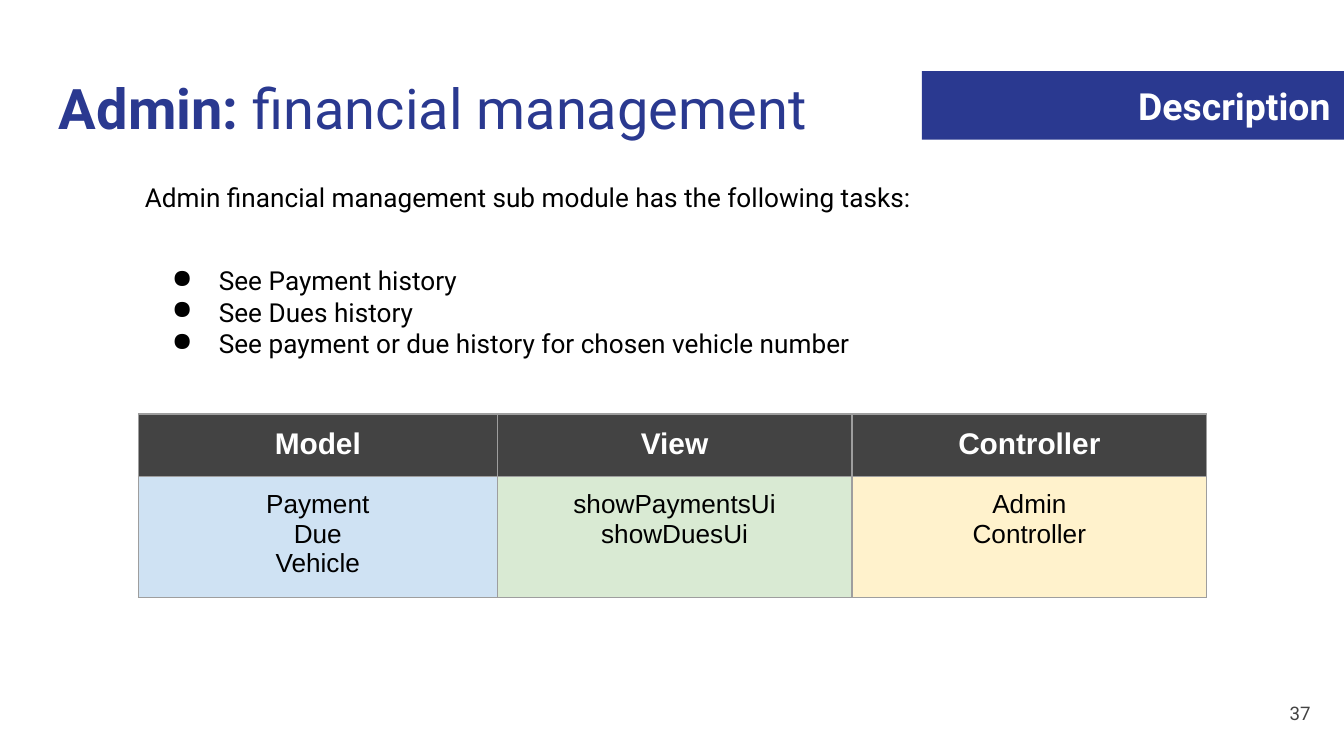
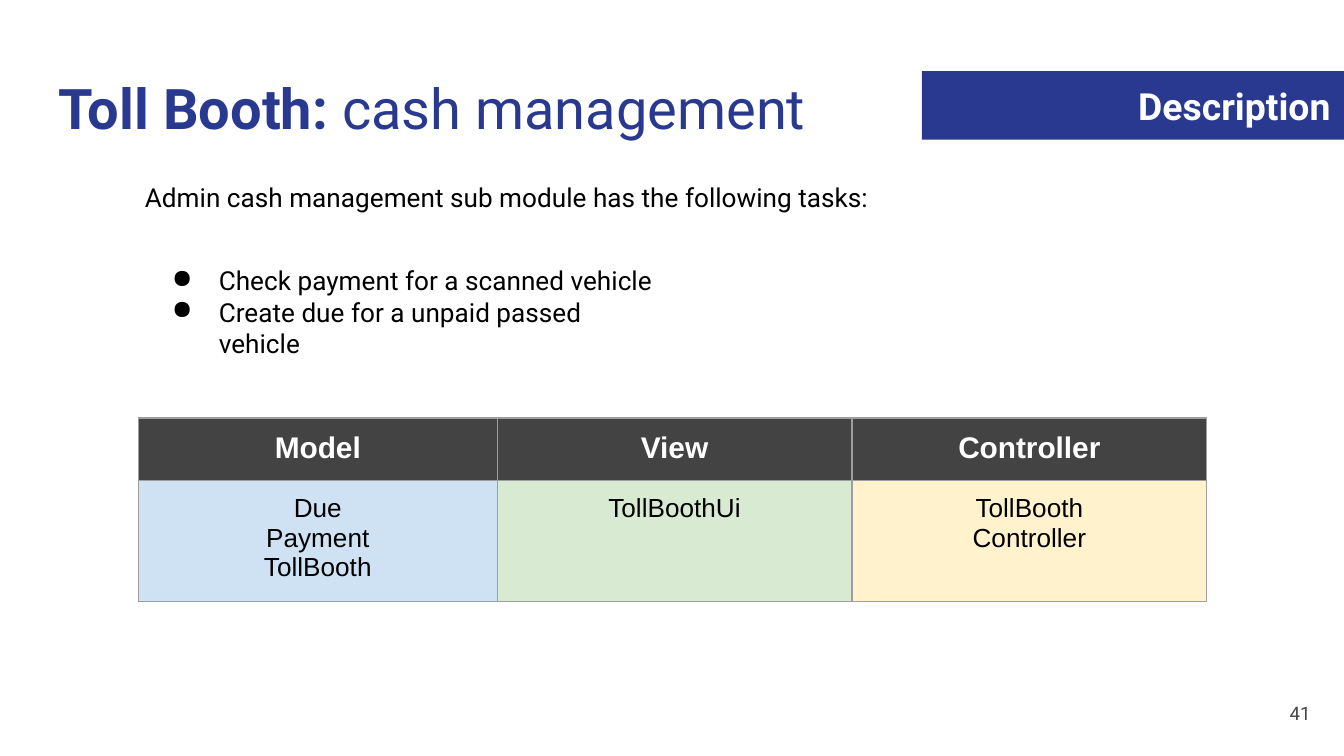
from dataclasses import dataclass

import lxml.etree
import pptx
import pptx.dml.color
import pptx.enum.shapes
import pptx.enum.text
import pptx.oxml.ns
import pptx.slide
import pptx.text.text
import pptx.util

ALIGN = pptx.enum.text.PP_ALIGN
ANCHOR = pptx.enum.text.MSO_ANCHOR

SLIDE_WIDTH = pptx.util.Inches(10)
SLIDE_HEIGHT = pptx.util.Inches(5.625)
GRID_COLUMNS = 100
GRID_UNIT = SLIDE_WIDTH / GRID_COLUMNS

NAVY = "2A3990"
BLACK = "000000"
WHITE = "FFFFFF"
CHARCOAL = "434343"
BORDER = "9E9E9E"
BODY_FILLS = ("CFE2F3", "D9EAD3", "FFF2CC")
HEADINGS = ("Model", "View", "Controller")
TABLE_COLUMNS = (26.7, 26.4, 26.4)
TABLE_ROW = 4.2


@dataclass(frozen=True)
class Area:
    column: float
    row: float
    columns: float
    rows: float

    def lengths(self) -> tuple[int, ...]:
        return tuple(map(grid, (self.column, self.row, self.columns, self.rows)))


@dataclass(frozen=True)
class Style:
    size: float
    color: str
    bold: bool = False
    font: str = "Roboto"
    align: ALIGN = ALIGN.LEFT
    anchor: ANCHOR = ANCHOR.TOP


@dataclass(frozen=True)
class Module:
    role: str
    topic: str
    intro: str
    tasks: tuple[str, ...]
    tasks_width: float
    table_top: float
    members: tuple[tuple[str, ...], ...]
    number: str


TITLE = Style(30, NAVY)
TITLE_ROLE = Style(30, NAVY, True)
BAND = Style(20, WHITE, True, align=ALIGN.RIGHT, anchor=ANCHOR.MIDDLE)
BODY = Style(14, BLACK)
NUMBER = Style(10, CHARCOAL, align=ALIGN.RIGHT, anchor=ANCHOR.MIDDLE)
TABLE_HEAD = Style(16, WHITE, True, "Arial", ALIGN.CENTER)
TABLE_BODY = Style(14, BLACK, False, "Arial", ALIGN.CENTER)

MODULES = (
    Module(
        "Admin:", " financial management",
        "Admin financial management sub module has the following tasks:",
        ("See Payment history", "See Dues history",
         "See payment or due history for chosen vehicle number"),
        77.8, 30.8,
        (("Payment", "Due", "Vehicle"), ("showPaymentsUi", "showDuesUi"),
         ("Admin", "Controller")),
        "37",
    ),
    Module(
        "Toll Booth:", " cash management",
        "Admin cash management sub module has the following tasks:",
        ("Check payment for a scanned vehicle",
         "Create due for a unpaid passed vehicle"),
        39.7, 31.1,
        (("Due", "Payment", "TollBooth"), ("TollBoothUi",),
         ("TollBooth", "Controller")),
        "41",
    ),
)


def grid(units: float) -> int:
    return round(units * GRID_UNIT)


def rgb(color: str) -> pptx.dml.color.RGBColor:
    return pptx.dml.color.RGBColor.from_string(color)


def add_span(para: pptx.text.text._Paragraph, text: str, style: Style) -> None:
    span = para.add_run()
    span.text = text
    span.font.name = style.font
    span.font.size = pptx.util.Pt(style.size)
    span.font.bold = style.bold
    span.font.color.rgb = rgb(style.color)


def add_bullet(para: pptx.text.text._Paragraph) -> None:
    properties = para._p.get_or_add_pPr()
    properties.set("marL", str(grid(5)))
    properties.set("indent", str(grid(-3.5)))
    qn = pptx.oxml.ns.qn
    color = lxml.etree.SubElement(properties, qn("a:buClr"))
    lxml.etree.SubElement(color, qn("a:srgbClr"), val=BLACK)
    lxml.etree.SubElement(properties, qn("a:buChar"), char="●")


def fill_frame(frame: pptx.text.text.TextFrame, lines: tuple[str, ...],
               style: Style, bulleted: bool = False) -> None:
    for index, line in enumerate(lines):
        para = frame.add_paragraph() if index else frame.paragraphs[0]
        para.alignment = style.align
        if bulleted:
            add_bullet(para)
        add_span(para, line, style)


def set_margins(target) -> None:
    target.margin_left = target.margin_right = grid(1)
    target.margin_top = target.margin_bottom = grid(1)


def prepare_frame(frame: pptx.text.text.TextFrame, style: Style) -> None:
    frame.word_wrap = True
    frame.vertical_anchor = style.anchor
    set_margins(frame)


def add_text(page: pptx.slide.Slide, area: Area, lines: tuple[str, ...],
             style: Style, bulleted: bool = False) -> pptx.text.text.TextFrame:
    frame = page.shapes.add_textbox(*area.lengths()).text_frame
    prepare_frame(frame, style)
    fill_frame(frame, lines, style, bulleted)
    return frame


def add_band(page: pptx.slide.Slide) -> None:
    band = page.shapes.add_shape(pptx.enum.shapes.MSO_SHAPE.RECTANGLE,
                                 *Area(68.6, 5.3, 31.4, 5.1).lengths())
    band.shadow.inherit = False
    band.fill.solid()
    band.fill.fore_color.rgb = rgb(NAVY)
    band.line.fill.background()
    prepare_frame(band.text_frame, BAND)
    fill_frame(band.text_frame, ("Description",), BAND)


def add_cell_borders(cell) -> None:
    qn = pptx.oxml.ns.qn
    properties = cell._tc.get_or_add_tcPr()
    for side in ("lnL", "lnR", "lnT", "lnB"):
        line = lxml.etree.SubElement(properties, qn(f"a:{side}"),
                                     w=str(pptx.util.Pt(0.75)))
        paint = lxml.etree.SubElement(line, qn("a:solidFill"))
        lxml.etree.SubElement(paint, qn("a:srgbClr"), val=BORDER)


def fill_cell(cell, lines: tuple[str, ...], style: Style, color: str) -> None:
    set_margins(cell)
    add_cell_borders(cell)
    cell.fill.solid()
    cell.fill.fore_color.rgb = rgb(color)
    fill_frame(cell.text_frame, lines, style)


def add_members(page: pptx.slide.Slide, module: Module) -> None:
    area = Area(10.3, module.table_top, sum(TABLE_COLUMNS), 2 * TABLE_ROW)
    table = page.shapes.add_table(2, len(HEADINGS), *area.lengths()).table
    table.first_row = table.horz_banding = False
    for index, (width, heading, names, color) in enumerate(
            zip(TABLE_COLUMNS, HEADINGS, module.members, BODY_FILLS)):
        table.columns[index].width = grid(width)
        fill_cell(table.cell(0, index), (heading,), TABLE_HEAD, CHARCOAL)
        fill_cell(table.cell(1, index), names, TABLE_BODY, color)


def add_page(deck, module: Module) -> None:
    page = deck.slides.add_slide(deck.slide_layouts[6])
    title = add_text(page, Area(3.4, 4.5, 93.2, 6.6), (module.role,), TITLE_ROLE)
    add_span(title.paragraphs[0], module.topic, TITLE)
    add_members(page, module)
    add_band(page)
    add_text(page, Area(9.8, 12.5, 80.3, 4.4), (module.intro,), BODY)
    add_text(page, Area(10.3, 18.7, module.tasks_width, 9.1), module.tasks, BODY, True)
    add_text(page, Area(92.5, 50.9, 6, 4.3), (module.number,), NUMBER)


def main() -> None:
    deck = pptx.Presentation()
    deck.slide_width = SLIDE_WIDTH
    deck.slide_height = SLIDE_HEIGHT
    for module in MODULES:
        add_page(deck, module)
    deck.save("out.pptx")


if __name__ == "__main__":
    main()
